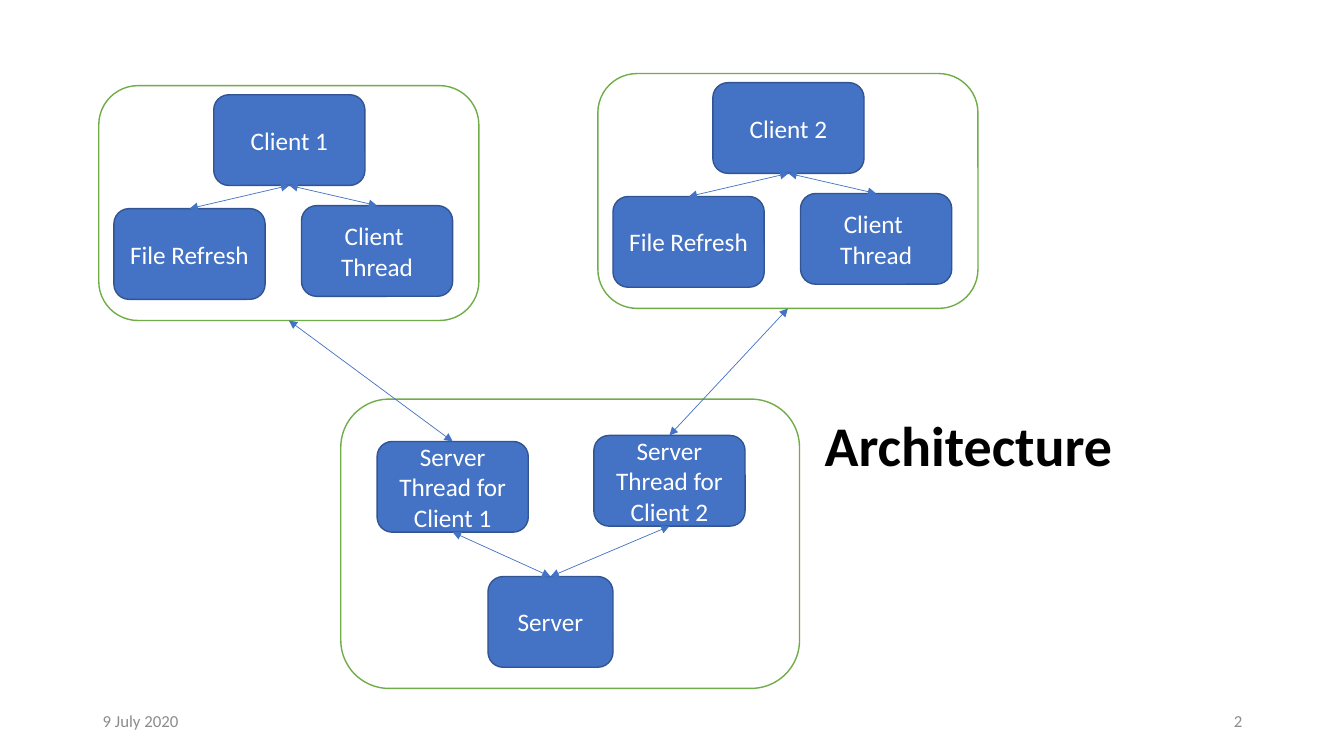
from lxml.etree import SubElement
from pptx import Presentation
from pptx.dml.color import RGBColor
from pptx.enum.shapes import MSO_CONNECTOR, MSO_SHAPE
from pptx.enum.text import MSO_ANCHOR as Anchor, MSO_AUTO_SIZE, PP_ALIGN as Align
from pptx.oxml.ns import qn
from pptx.util import Pt

PX = 9144  # EMU per px, 100 px to the inch
BLUE = RGBColor(0x44, 0x72, 0xC4)
DARK_BLUE = RGBColor(0x32, 0x54, 0x91)
GREEN = RGBColor(0x70, 0xAD, 0x47)
GRAY = RGBColor(0x8C, 0x8C, 0x8C)
BLACK = RGBColor(0, 0, 0)
WHITE = RGBColor(0xFF, 0xFF, 0xFF)
TOP, BOTTOM = 0, 2
NODE_W, NODE_H = 150, 90


def px(*lengths):
    return [length * PX for length in lengths]


def write(shape, text, size, color, align, anchor=Anchor.MIDDLE, bold=False):
    frame = shape.text_frame
    frame.text = text
    frame.word_wrap = True
    frame.auto_size = MSO_AUTO_SIZE.NONE
    frame.vertical_anchor = anchor
    for paragraph in frame.paragraphs:
        paragraph.alignment = align
        font_format = {"name": "Calibri", "size": Pt(size), "bold": bold}
        for attribute, value in font_format.items():
            setattr(paragraph.font, attribute, value)
        paragraph.font.color.rgb = color


def add_rounded(slide, left, top, width, height, line_color):
    rounded = slide.shapes.add_shape(
        MSO_SHAPE.ROUNDED_RECTANGLE, *px(left, top, width, height))
    rounded.shadow.inherit = False
    rounded.line.color.rgb = line_color
    rounded.line.width = Pt(1)
    return rounded


def add_frame(slide, left, top, width, height):
    frame = add_rounded(slide, left, top, width, height, GREEN)
    frame.fill.background()
    return frame


def add_node(slide, text, left, top, width=NODE_W):
    node = add_rounded(slide, left, top, width, NODE_H, DARK_BLUE)
    node.fill.solid()
    node.fill.fore_color.rgb = BLUE
    write(node, text, 18, WHITE, Align.CENTER)
    return node


def add_link(slide, upper, lower):
    """Join the bottom of one shape to the top of another, arrows at both ends."""
    link = slide.shapes.add_connector(MSO_CONNECTOR.STRAIGHT, 0, 0, 0, 0)
    link.begin_connect(upper, BOTTOM)
    link.end_connect(lower, TOP)
    link.line.color.rgb = BLUE
    link.line.width = Pt(0.5)
    outline = link.line._get_or_add_ln()
    for end in ("a:headEnd", "a:tailEnd"):
        SubElement(outline, qn(end), type="triangle")
    SubElement(link._element.spPr, qn("a:effectLst"))


def add_client(slide, name, left, top):
    frame = add_frame(slide, left, top, 377, 233)
    client = add_node(slide, name, left + 114, top + 9)
    for part, dx, dy in (("File Refresh", 15, 122), ("Client \vThread", 201, 119)):
        add_link(slide, client, add_node(slide, part, left + dx, top + dy))
    return frame


def add_footer(slide, text, left, align):
    footer = slide.shapes.add_textbox(*px(left, 695, 300, 40))
    write(footer, text, 12, GRAY, align)


def add_title(slide, text):
    title = slide.shapes.title
    title.left, title.top, title.width, title.height = px(808, 145, 455, 335)
    write(title, text, 40, BLACK, Align.LEFT, Anchor.BOTTOM, bold=True)
    title.text_frame.paragraphs[0].line_spacing = 0.9


def main():
    deck = Presentation()
    deck.slide_width, deck.slide_height = px(1333, 750)
    slide = deck.slides.add_slide(deck.slide_layouts[5])

    add_title(slide, "Architecture")
    add_footer(slide, "9 July 2020", 92, Align.LEFT)
    add_footer(slide, "2", 942, Align.RIGHT)

    add_frame(slide, 338, 396, 455, 287)
    server = add_node(slide, "Server", 484, 572, 124)
    clients = (
        ("Client 1", (98, 85), (374, 438)),
        ("Client 2", (593, 73), (589, 432)),
    )
    for name, client_at, thread_at in clients:
        client_frame = add_client(slide, name, *client_at)
        server_thread = add_node(slide, f"Server Thread for {name}", *thread_at)
        add_link(slide, client_frame, server_thread)
        add_link(slide, server_thread, server)

    deck.save("out.pptx")


if __name__ == "__main__":
    main()
